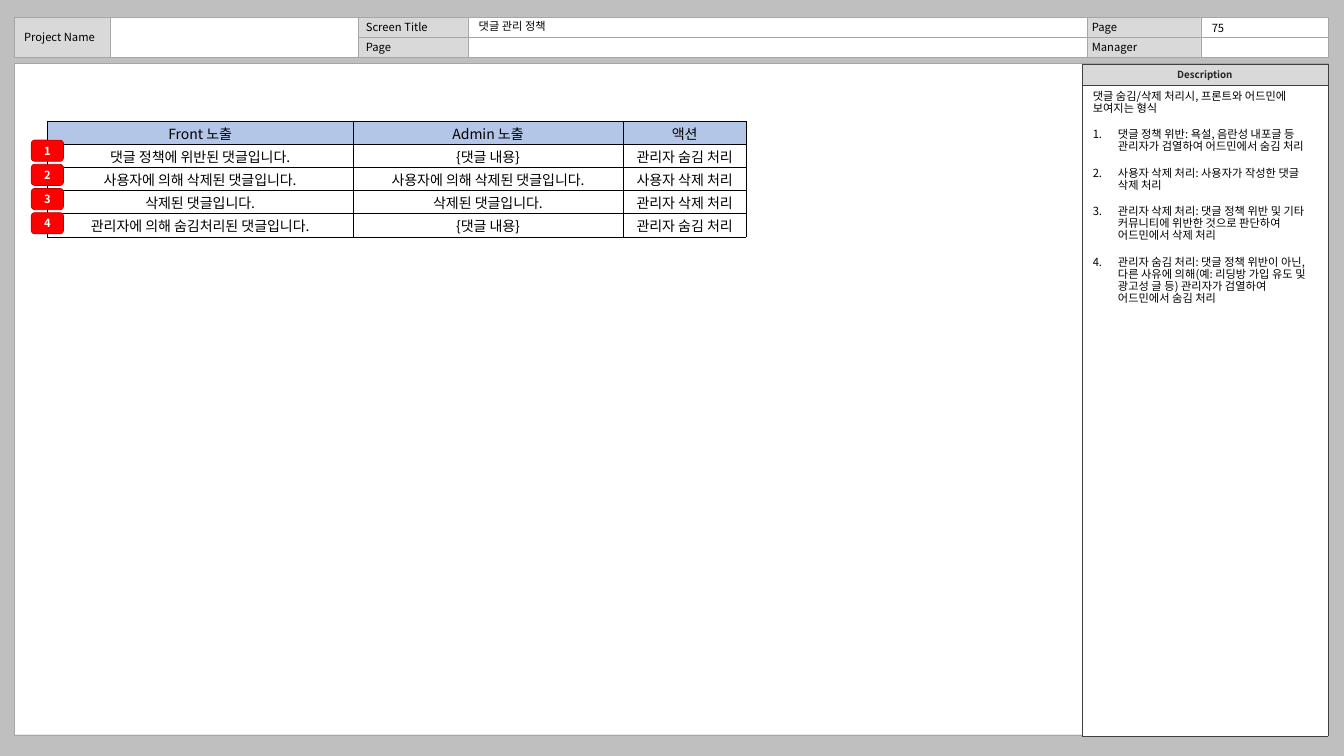
from lxml import etree
from pptx import Presentation
from pptx import util as u
from pptx.dml.color import RGBColor
from pptx.enum import shapes, text
from pptx.oxml.ns import qn

FONT = "Noto Sans CJK KR"
PX = 9144  # 100 px to the inch

BLACK = RGBColor(0x00, 0x00, 0x00)
WHITE = RGBColor(0xFF, 0xFF, 0xFF)
BACKDROP = RGBColor(0xBF, 0xBF, 0xBF)
LABEL_GRAY = RGBColor(0xD9, 0xD9, 0xD9)
FRAME_GRAY = RGBColor(0xA6, 0xA6, 0xA6)
DARK_GRAY = RGBColor(0x40, 0x40, 0x40)
HEADING = RGBColor(0x26, 0x26, 0x26)
HEADER_BLUE = RGBColor(0xB4, 0xC6, 0xE7)
RED = RGBColor(0xFF, 0x00, 0x00)
DARK_RED = RGBColor(0xC0, 0x00, 0x00)

LABELS = [
    (14, 17, 95, 40, "Project Name"),
    (353, 17, 118, 20, "Screen Title"),
    (353, 37, 118, 20, "Page"),
    (1073, 17, 118, 20, "Page"),
    (1073, 37, 118, 20, "Manager"),
]
VALUE_BOXES = [
    (109, 17, 246, 40),
    (464, 17, 614, 20),
    (464, 37, 614, 20),
    (1191, 17, 126, 20),
    (1191, 37, 126, 20),
]
INTRO = "댓글 숨김/삭제 처리시, 프론트와 어드민에 보여지는 형식"
POLICIES = [
    "댓글 정책 위반: 욕설, 음란성 내포글 등 관리자가 검열하여 어드민에서 숨김 처리",
    "사용자 삭제 처리: 사용자가 작성한 댓글 삭제 처리",
    "관리자 삭제 처리: 댓글 정책 위반 및 기타 커뮤니티에 위반한 것으로 판단하여 어드민에서 삭제 처리",
    "관리자 숨김 처리: 댓글 정책 위반이 아닌, 다른 사유에 의해(예: 리딩방 가입 유도 및 광고성 글 등) "
    "관리자가 검열하여 어드민에서 숨김 처리",
]
EXPOSURE_ROWS = [
    ["Front 노출", "Admin 노출", "액션"],
    ["댓글 정책에 위반된 댓글입니다.", "{댓글 내용}", "관리자 숨김 처리"],
    ["사용자에 의해 삭제된 댓글입니다.", "사용자에 의해 삭제된 댓글입니다.", "사용자 삭제 처리"],
    ["삭제된 댓글입니다.", "삭제된 댓글입니다.", "관리자 삭제 처리"],
    ["관리자에 의해 숨김처리된 댓글입니다.", "{댓글 내용}", "관리자 숨김 처리"],
]


def px(*lengths):
    return [u.Emu(length * PX) for length in lengths]


def write(paragraph, words, size=8, color=BLACK, bold=False, align=None, spacing=None, before=0, numbered=False):
    paragraph.alignment = align
    paragraph.line_spacing = spacing
    if before:
        paragraph.space_before = u.Pt(before)
    if numbered:
        properties = paragraph._p.get_or_add_pPr()
        properties.set("marL", str(25 * PX))
        properties.set("indent", str(-25 * PX))
        etree.SubElement(properties, qn("a:buFont"), typeface="+mj-lt")
        etree.SubElement(properties, qn("a:buAutoNum"), type="arabicPeriod")
    run = paragraph.add_run()
    run.text = words
    run.font.size = u.Pt(size)
    run.font.bold = bold
    run.font.color.rgb = color
    run.font.name = FONT
    etree.SubElement(run._r.get_or_add_rPr(), qn("a:ea"), typeface=FONT)


def set_margins(target, left, top, right, bottom):
    target.margin_left, target.margin_top, target.margin_right, target.margin_bottom = px(left, top, right, bottom)


def set_borders(cell, color, points):
    properties = cell._tc.get_or_add_tcPr()
    for position, side in enumerate(("lnL", "lnR", "lnT", "lnB")):
        line = etree.Element(qn(f"a:{side}"), w=str(u.Pt(points)))
        fill = etree.SubElement(line, qn("a:solidFill"))
        etree.SubElement(fill, qn("a:srgbClr"), val=str(color))
        properties.insert(position, line)


class Storyboard:
    def __init__(self, slide):
        self.slide = slide

    def box(self, left, top, width, height, fill=WHITE, line=FRAME_GRAY, points=0.25,
            kind=shapes.MSO_SHAPE.RECTANGLE):
        shape = self.slide.shapes.add_shape(kind, *px(left, top, width, height))
        shape.shadow.inherit = False
        if fill is None:
            shape.fill.background()
        else:
            shape.fill.solid()
            shape.fill.fore_color.rgb = fill
        shape.line.color.rgb = line
        shape.line.width = u.Pt(points)
        return shape

    def label(self, left, top, width, height, words):
        frame = self.box(left, top, width, height, LABEL_GRAY).text_frame
        frame.word_wrap = False
        frame.vertical_anchor = text.MSO_ANCHOR.MIDDLE
        write(frame.paragraphs[0], words, align=text.PP_ALIGN.LEFT)

    def badge(self, left, top, words):
        shape = self.box(left, top, 32, 21, RED, DARK_RED, 0.5, shapes.MSO_SHAPE.ROUNDED_RECTANGLE)
        frame = shape.text_frame
        set_margins(frame, 0, 0, 0, 0)
        frame.vertical_anchor = text.MSO_ANCHOR.MIDDLE
        write(frame.paragraphs[0], words, color=WHITE, bold=True, align=text.PP_ALIGN.CENTER)

    def textbox(self, left, top, width, height, anchor=text.MSO_ANCHOR.MIDDLE):
        frame = self.slide.shapes.add_textbox(*px(left, top, width, height)).text_frame
        frame.word_wrap = True
        frame.vertical_anchor = anchor
        return frame

    def table(self, left, top, widths, heights, rows, fills, border, points, margins, **style):
        """Fill a table row by row; a fill of None leaves its row clear."""
        area = px(left, top, sum(widths), sum(heights))
        table = self.slide.shapes.add_table(len(rows), len(widths), *area).table
        table.first_row = table.horz_banding = False
        for column, width in zip(table.columns, px(*widths)):
            column.width = width
        for row, height, fill, entries in zip(table.rows, px(*heights), fills, rows):
            row.height = height
            for cell, words in zip(row.cells, entries):
                if fill is None:
                    cell.fill.background()
                else:
                    cell.fill.solid()
                    cell.fill.fore_color.rgb = fill
                set_borders(cell, border, points)
                set_margins(cell, *margins)
                cell.vertical_anchor = text.MSO_ANCHOR.MIDDLE
                if words:
                    write(cell.text_frame.paragraphs[0], words, align=text.PP_ALIGN.CENTER, **style)


def main():
    presentation = Presentation()
    presentation.slide_width, presentation.slide_height = px(1333, 750)
    slide = presentation.slides.add_slide(presentation.slide_layouts[6])
    slide.background.fill.solid()
    slide.background.fill.fore_color.rgb = BACKDROP
    board = Storyboard(slide)

    board.box(14, 63, 1303, 666)
    for label in LABELS:
        board.label(*label)
    for value_box in VALUE_BOXES:
        board.box(*value_box)
    write(board.textbox(1192, 19, 71, 18).paragraphs[0], "75")
    write(board.textbox(465, 16, 607, 21).paragraphs[0], "댓글 관리 정책", spacing=0.9)

    board.box(1073, 63, 244, 666, fill=None)
    board.table(1073, 64, [244], [20, 646], [["Description"], [""]], [LABEL_GRAY, WHITE],
                DARK_GRAY, 0.25, (5, 3, 5, 3), size=7, color=HEADING, bold=True)
    description = board.textbox(1074, 85, 243, 643, text.MSO_ANCHOR.TOP)
    description.auto_size = text.MSO_AUTO_SIZE.TEXT_TO_FIT_SHAPE
    write(description.paragraphs[0], INTRO, spacing=0.9)
    for policy in POLICIES:
        write(description.add_paragraph(), policy, spacing=0.9, before=10, numbered=True)

    row_count = len(EXPOSURE_ROWS)
    board.table(47, 120, [303, 268, 122], [23] * row_count, EXPOSURE_ROWS,
                [HEADER_BLUE] + [None] * (row_count - 1), BLACK, 0.5, (1, 1, 1, 0), size=10)
    for index in range(row_count - 1):
        board.badge(31, 139 + 24 * index, str(index + 1))

    presentation.save("out.pptx")


if __name__ == "__main__":
    main()
